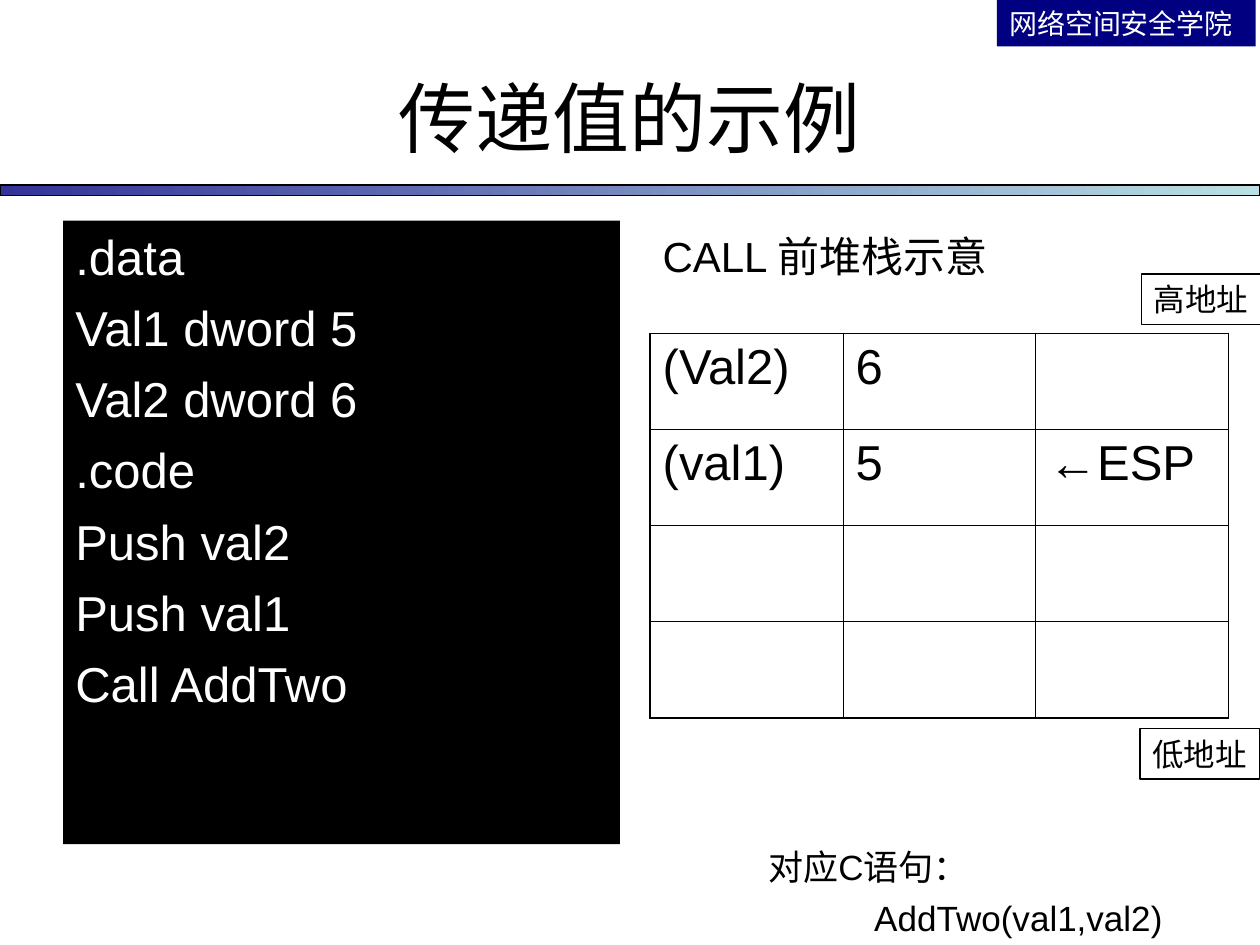
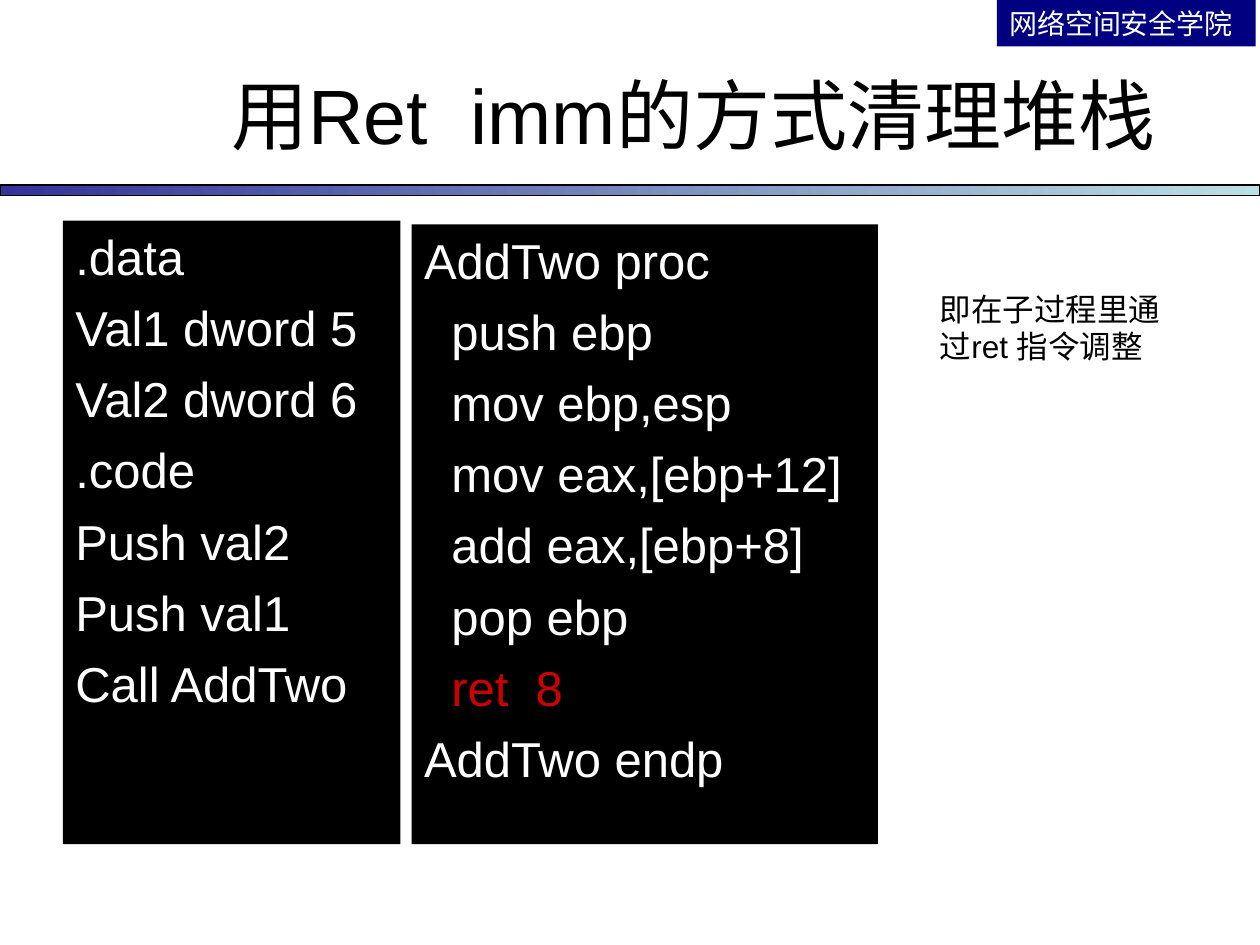
from lxml import etree
from pptx import Presentation
from pptx.dml.color import RGBColor
from pptx.enum import shapes, text
from pptx.oxml import ns
from pptx.util import Pt

BLACK = RGBColor(0x00, 0x00, 0x00)
WHITE = RGBColor(0xFF, 0xFF, 0xFF)
NAVY = RGBColor(0x00, 0x00, 0x80)
INDIGO = RGBColor(0x33, 0x33, 0x99)
AQUA = RGBColor(0xBB, 0xE0, 0xE3)
RED = RGBColor(0xCC, 0x00, 0x00)
FONT = "Arial"
WIDE, HIGH = 720, 540
THICK, THIN = 1.08, 0.45
STEP = 15.56

CALLER = [".data", "Val1 dword 5", "Val2 dword 6", ".code",
          "Push val2", "Push val1", "Call AddTwo"]
BODY = ["push ebp", "mov ebp,esp", "mov eax,[ebp+12]",
        "add eax,[ebp+8]", "pop ebp"]
STACK = [("(Val2)", "6", ""), ("(val1)", "5", "←ESP"),
         ("", "", ""), ("", "", "")]


def write(frame, lines, size=28, color=BLACK, before=0, align=text.PP_ALIGN.LEFT,
          anchor=text.MSO_ANCHOR.TOP, wrap=True):
    """Fill a frame with lines, each a string or a (string, indent, colour) tuple."""
    frame.word_wrap = wrap
    frame.vertical_anchor = anchor
    frame.margin_left = frame.margin_right = Pt(7.2)
    frame.margin_top = frame.margin_bottom = Pt(3.6)
    for i, line in enumerate(lines):
        words, indent, tint = line if isinstance(line, tuple) else (line, 0, color)
        para = frame.add_paragraph() if i else frame.paragraphs[0]
        para.alignment = align
        para.space_before = Pt(before)
        if indent:
            para._p.get_or_add_pPr().set("marL", str(Pt(indent)))
        run = para.add_run()
        run.text = words
        run.font.name = FONT
        run.font.size = Pt(size)
        run.font.color.rgb = tint


def note(slide, box, lines, **form):
    """Place plain text in a box."""
    area = slide.shapes.add_textbox(*map(Pt, box))
    write(area.text_frame, lines, **form)


def block(slide, box, fill=None, line=None):
    """Place a flat rectangle with an optional fill and outline."""
    rect = slide.shapes.add_shape(shapes.MSO_SHAPE.RECTANGLE, *map(Pt, box))
    rect.shadow.inherit = False
    if fill is None:
        rect.fill.background()
    else:
        rect.fill.solid()
        rect.fill.fore_color.rgb = fill
    if line is None:
        rect.line.fill.background()
    else:
        rect.line.color.rgb = line
        rect.line.width = Pt(0.75)
    return rect


def panel(slide, box, lines):
    """Show code in white on a black panel."""
    write(block(slide, box, BLACK).text_frame, lines, color=WHITE, before=7)


def label(slide, left, top, words):
    """Place an outlined address label."""
    rect = block(slide, (left, top, 68.4, 29), line=BLACK)
    write(rect.text_frame, [words], size=18, wrap=False)


def base(deck, title, box):
    """Add a slide with the shared rule, school tag and title."""
    slide = deck.slides.add_slide(deck.slide_layouts[6])
    rule = block(slide, (0, 105.75, WIDE, 6), line=BLACK)
    rule.fill.gradient()
    rule.fill.gradient_angle = 0
    for stop, tint in zip(rule.fill.gradient_stops, (INDIGO, AQUA)):
        stop.color.rgb = tint
    tag = block(slide, (569.7, 0, 147.8, 26.5), NAVY)
    write(tag.text_frame, ["网络空间安全学院"], size=16, color=WHITE, before=4)
    note(slide, box, [title], size=44, align=text.PP_ALIGN.CENTER,
         anchor=text.MSO_ANCHOR.MIDDLE)
    return slide


def edge(cell, side, width):
    """Draw one black border of a cell."""
    props = cell._tc.get_or_add_tcPr()
    line = etree.SubElement(props, ns.qn(f"a:ln{side}"), w=str(Pt(width)))
    fill = etree.SubElement(line, ns.qn("a:solidFill"))
    etree.SubElement(fill, ns.qn("a:srgbClr"), val=str(BLACK))


def stack(slide, box, data):
    """Draw the stack as an even grid with a thicker outer frame."""
    left, top, width, height = box
    rows, cols = len(data), len(data[0])
    grid = slide.shapes.add_table(rows, cols, *map(Pt, box)).table
    grid.first_row = grid.horz_banding = False
    for col in grid.columns:
        col.width = Pt(width / cols)
    for r, row in enumerate(data):
        grid.rows[r].height = Pt(height / rows)
        for c, words in enumerate(row):
            cell = grid.cell(r, c)
            outer = {"L": c == 0, "R": c == cols - 1,
                     "T": r == 0, "B": r == rows - 1}
            for side, rim in outer.items():
                edge(cell, side, THICK if rim else THIN)
            cell.fill.background()
            if words:
                write(cell.text_frame, [words], before=7)


def values(deck):
    """Build the slide on passing values."""
    slide = base(deck, "传递值的示例", (36, 21.6, 648, 90))
    panel(slide, (36, 126, 318.2, 356.4), CALLER)
    stack(slide, (371.5, 190.6, 330.5, 219.6), STACK)
    note(slide, (371.5, 128.2, 278, 36), ["CALL 前堆栈示意"], size=24, before=15)
    label(slide, 652.2, 156.6, "高地址")
    label(slide, 651.4, 416.2, "低地址")
    note(slide, (432, 479.5, 288, 60.5),
         ["对应C语句：", ("AddTwo(val1,val2)", 60.5, BLACK)], size=20, before=5)


def clean(deck):
    """Build the slide on clearing the stack with ret."""
    slide = base(deck, "用Ret  imm的方式清理堆栈", (93.6, 20.2, 605.5, 90))
    panel(slide, (36, 126, 192.8, 356.4), CALLER)
    note(slide, (530, 162, 152.6, 50.4), ["即在子过程里通过ret 指令调整"],
         size=18, before=11.2)
    inner = [(words, STEP, WHITE) for words in BODY] + [("ret  8", STEP, RED)]
    panel(slide, (235.3, 128.2, 266.4, 354.2), ["AddTwo proc", *inner, "AddTwo endp"])


def main():
    """Build and save both slides."""
    deck = Presentation()
    deck.slide_width, deck.slide_height = Pt(WIDE), Pt(HIGH)
    values(deck)
    clean(deck)
    deck.save("out.pptx")


if __name__ == "__main__":
    main()
